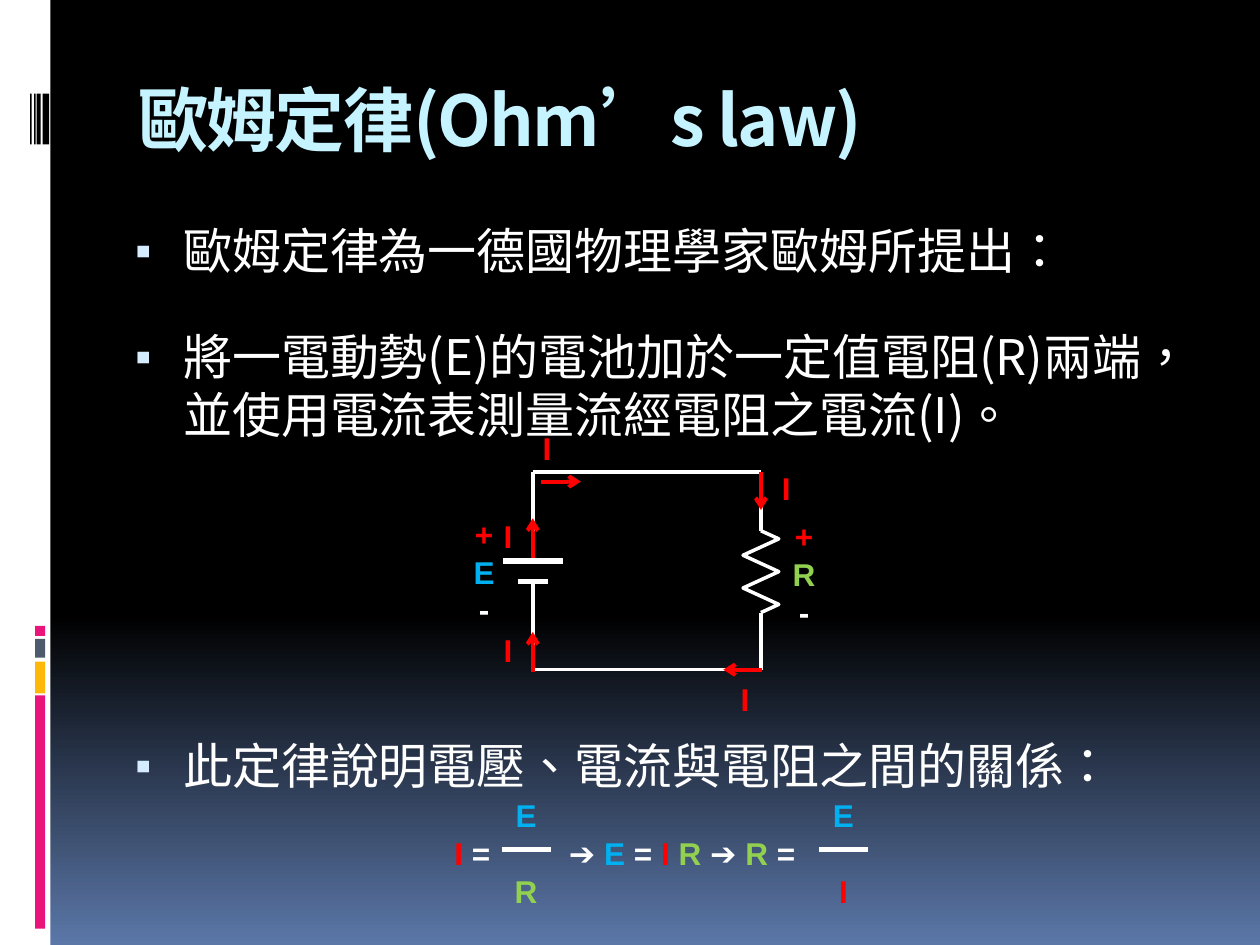
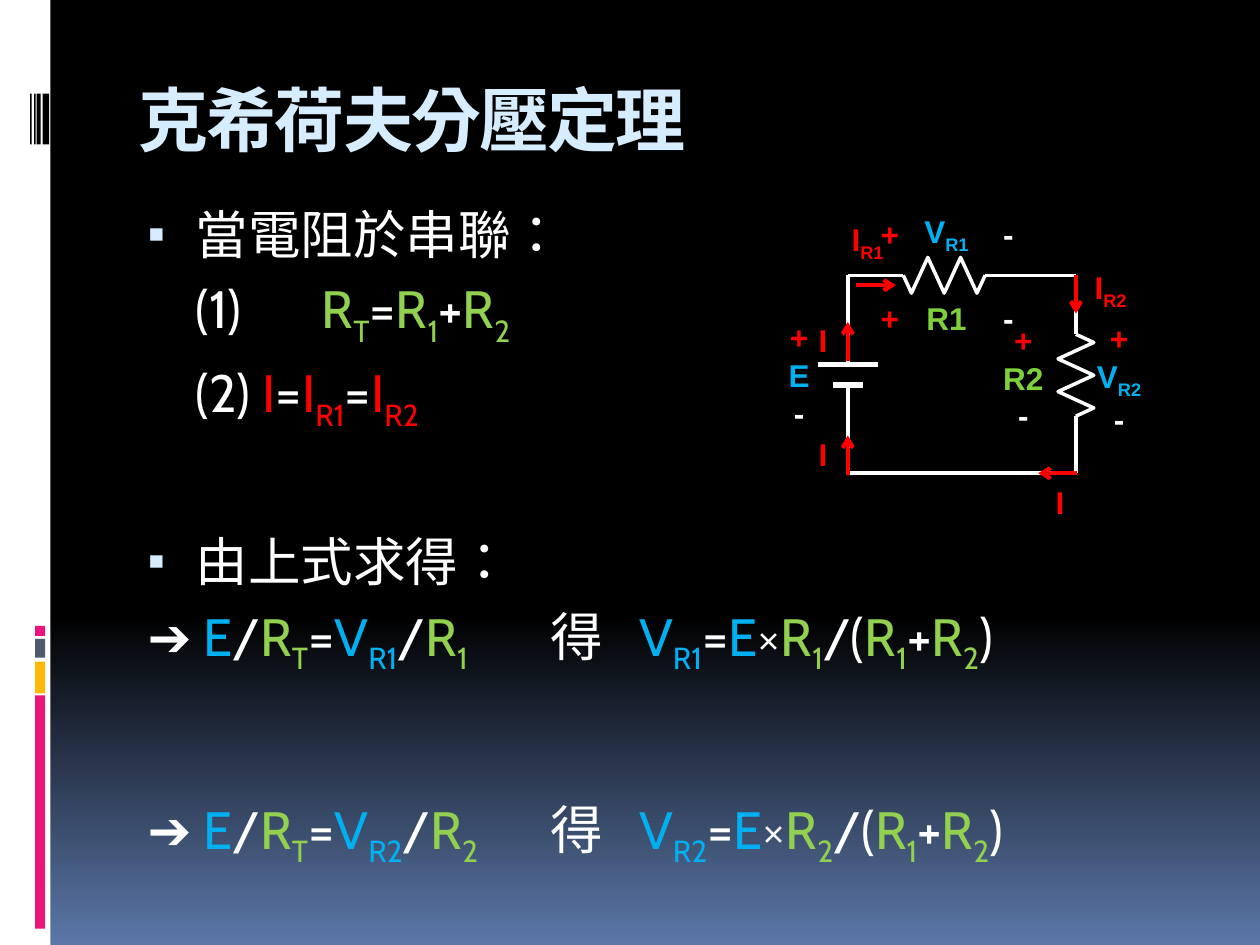
from typing import NamedTuple

from lxml import etree
from pptx import Presentation
from pptx.dml.color import RGBColor
from pptx.enum.shapes import MSO_CONNECTOR, MSO_SHAPE
from pptx.enum.text import MSO_ANCHOR, MSO_AUTO_SIZE, PP_ALIGN
from pptx.oxml.ns import qn
from pptx.util import Cm, Pt

RECTANGLE = MSO_SHAPE.RECTANGLE
STRAIGHT = MSO_CONNECTOR.STRAIGHT
TOP, MIDDLE = MSO_ANCHOR.TOP, MSO_ANCHOR.MIDDLE
LEFT, CENTER = PP_ALIGN.LEFT, PP_ALIGN.CENTER

BLACK = RGBColor(0x00, 0x00, 0x00)
WHITE = RGBColor(0xFF, 0xFF, 0xFF)
DUSK_BLUE = RGBColor(0x5B, 0x77, 0xA8)
PINK = RGBColor(0xEA, 0x15, 0x7A)
GOLD = RGBColor(0xFE, 0xB8, 0x0A)
SLATE = RGBColor(0x4E, 0x5B, 0x6F)
ICE = RGBColor(0xD6, 0xEC, 0xFF)
AQUA = RGBColor(0xC5, 0xF3, 0xFF)
RED = RGBColor(0xFF, 0x00, 0x00)
BLUE = RGBColor(0x00, 0xB0, 0xF0)
GREEN = RGBColor(0x92, 0xD0, 0x50)
LIME = RGBColor(0x7F, 0xD1, 0x3B)

CJK_FONT, BODY_FONT, LABEL_FONT = "Noto Sans CJK SC", "Cabin", "Arial"
QUANTITY_COLORS = {"E": BLUE, "V": BLUE, "R": GREEN, "I": RED}

CIRCUIT_WIDTH, CIRCUIT_HEIGHT = 4.6, 3.99
RESISTOR_LENGTH, RESISTOR_SWING = 1.65, 0.36


class Piece(NamedTuple):
    text: str
    color: RGBColor = WHITE
    subscript: bool = False


def quantity(symbol, subscript=""):
    """Pieces of a physical quantity, coloured by its symbol."""
    color = QUANTITY_COLORS[symbol]
    pieces = [Piece(symbol, color)]
    if subscript:
        pieces.append(Piece(subscript, color, True))
    return pieces


E, I, R = quantity("E"), quantity("I"), quantity("R")
R1, R2, RT = quantity("R", "1"), quantity("R", "2"), quantity("R", "T")
IR1, IR2 = quantity("I", "R1"), quantity("I", "R2")
VR1, VR2 = quantity("V", "R1"), quantity("V", "R2")
PLUS, MINUS = [Piece("+", RED)], [Piece("-")]


def add_pieces(paragraph, pieces, size, font_name, bold=False):
    for piece in pieces:
        run = paragraph.add_run()
        run.text = piece.text
        font = run.font
        font.name, font.size, font.bold = font_name, Pt(size), bold
        font.color.rgb = piece.color
        properties = run._r.get_or_add_rPr()
        properties.set("lang", "zh-TW")
        if piece.subscript:
            properties.set("baseline", "-25000")
        east_asian = etree.Element(qn("a:ea"), typeface=CJK_FONT)
        properties.find(qn("a:latin")).addnext(east_asian)


def add_label(slide, center_x, center_y, *lines, width=1.5):
    """Bold text, one list of pieces a line, centred on a point."""
    height = 0.76 * len(lines) + 0.25
    box = slide.shapes.add_textbox(Cm(center_x - width / 2), Cm(center_y - height / 2 - 0.02),
                                   Cm(width), Cm(height))
    frame = box.text_frame
    frame.word_wrap = False
    frame.vertical_anchor = MIDDLE
    for index, pieces in enumerate(lines):
        paragraph = frame.paragraphs[0] if index == 0 else frame.add_paragraph()
        paragraph.alignment = CENTER
        add_pieces(paragraph, pieces, 18, LABEL_FONT, bold=True)


def add_line(slide, start, end, color=WHITE, width=2, arrow=False):
    connector = slide.shapes.add_connector(STRAIGHT, *map(Cm, (*start, *end)))
    connector.line.color.rgb = color
    connector.line.width = Pt(width)
    if arrow:
        etree.SubElement(connector.line._get_or_add_ln(), qn("a:tailEnd"), type="arrow")
    etree.SubElement(connector._element.spPr, qn("a:effectLst"))


def add_resistor(slide, left, top, vertical):
    """Zigzag that starts at the given point and runs down or to the right."""
    step = RESISTOR_LENGTH / 5
    peaks = [((k + 0.5) * step, RESISTOR_SWING * (-1) ** k) for k in range(5)]
    points = [(0, 0), *peaks, (RESISTOR_LENGTH, 0)]
    if vertical:
        points = [(across, along) for along, across in points]
    corners = [(Cm(left + x), Cm(top + y)) for x, y in points]
    builder = slide.shapes.build_freeform(*corners[0])
    builder.add_line_segments(corners[1:], close=False)
    zigzag = builder.convert_to_shape()
    zigzag.shadow.inherit = False
    zigzag.fill.background()
    zigzag.line.color.rgb = WHITE
    zigzag.line.width = Pt(2)


def add_circuit(slide, left, top, labels, top_resistor=False):
    """Battery loop with a resistor on the right and, if wanted, one on top."""
    right, bottom = CIRCUIT_WIDTH, CIRCUIT_HEIGHT
    plate_long, plate_short, right_start, top_start = 1.8, 2.21, 1.19, 1.12

    def place(x, y):
        return left + x, top + y

    wires = [((0, plate_long), (0, 0)), ((0, bottom), (0, plate_short)),
             ((0, bottom), (right, bottom)), ((right, 0), (right, right_start)),
             ((right, right_start + RESISTOR_LENGTH), (right, bottom))]
    if top_resistor:
        wires += [((0, 0), (top_start, 0)), ((top_start + RESISTOR_LENGTH, 0), (right, 0))]
        add_resistor(slide, *place(top_start, 0), vertical=False)
    else:
        wires.append(((0, 0), (right, 0)))
    for start, end in wires:
        add_line(slide, place(*start), place(*end))
    add_resistor(slide, *place(right, right_start), vertical=True)

    for y, reach in ((plate_long, 0.6), (plate_short, 0.3)):
        add_line(slide, place(-reach, y), place(reach, y), width=3)

    currents = [((0, 1.73), (0, 0.94)), ((0, 4.03), (0, 3.23)), ((0.17, 0.2), (0.97, 0.2)),
                ((right, 0), (right, 0.77)), ((right + 0.03, bottom), (right - 0.76, bottom))]
    for start, end in currents:
        add_line(slide, place(*start), place(*end), RED, 2.25, arrow=True)

    shared_labels = [(-0.98, 2.03, PLUS, E, MINUS), (-0.5, 1.32, I), (-0.5, 3.62, I),
                     (4.28, 4.59, I)]
    for x, y, *lines in shared_labels + labels:
        add_label(slide, *place(x, y), *lines)


def add_fraction(slide, left, top, numerator, denominator):
    width = 0.99
    add_label(slide, left + width / 2, top - 0.67, numerator)
    add_line(slide, (left, top), (left + width, top), width=2.75)
    add_label(slide, left + width / 2, top + 0.86, denominator)


def add_ohm_formulas(slide, left, top):
    """I = E/R, then E = IR, then R = E/I, with fraction bars at the given top."""
    text_center = top + 0.09
    add_label(slide, left + 0.4, text_center, [*I, Piece(" =")])
    add_fraction(slide, left + 0.99, top, E, R)
    chain = [Piece("➔ "), *E, Piece(" = "), *I, Piece(" "), *R, Piece(" ➔ "), *R, Piece(" =")]
    add_label(slide, left + 4.63, text_center, chain, width=6)
    add_fraction(slide, left + 7.39, top, E, I)


def place_shape(shape, left, top, width, height):
    shape.left, shape.top, shape.width, shape.height = map(Cm, (left, top, width, height))


def set_title(slide, text, color):
    title = slide.shapes.title
    place_shape(title, 2.54, 1.42, 21.59, 2.54)
    frame = title.text_frame
    frame.auto_size = MSO_AUTO_SIZE.NONE
    frame.vertical_anchor = TOP
    frame.margin_top = Cm(0.32)
    paragraph = frame.paragraphs[0]
    paragraph.alignment = LEFT
    paragraph.line_spacing = 0.9
    add_pieces(paragraph, [Piece(text, color)], 40, CJK_FONT, bold=True)
    paragraph.runs[0].font._element.set("spc", "-100")


class Row(NamedTuple):
    space_before: float
    pieces: list
    bullet: bool = False
    margin: float = 1.15
    indent: float = 0
    tab_size: float = 2.54


def bullet_row(space_before, text):
    return Row(space_before, [Piece(text)], bullet=True, indent=-0.97)


def format_row(paragraph, row):
    properties = paragraph._p.get_or_add_pPr()
    properties.set("marL", str(Cm(row.margin)))
    properties.set("indent", str(Cm(row.indent)))
    properties.set("defTabSz", str(Cm(row.tab_size)))
    if row.bullet:
        color = etree.SubElement(properties, qn("a:buClr"))
        etree.SubElement(color, qn("a:srgbClr"), val=str(ICE))
        etree.SubElement(properties, qn("a:buSzPct"), val="95000")
        etree.SubElement(properties, qn("a:buChar"), char="▪")
    else:
        etree.SubElement(properties, qn("a:buNone"))


def set_body(slide, box, rows, size, line_height, font_name):
    body = slide.placeholders[1]
    place_shape(body, *box)
    frame = body.text_frame
    frame.auto_size = MSO_AUTO_SIZE.NONE
    frame.vertical_anchor = TOP
    frame.margin_top = Cm(0.13)
    for index, row in enumerate(rows):
        paragraph = frame.paragraphs[0] if index == 0 else frame.add_paragraph()
        paragraph.line_spacing = Pt(line_height)
        paragraph.space_before = Pt(row.space_before)
        paragraph.space_after = Pt(0)
        format_row(paragraph, row)
        add_pieces(paragraph, row.pieces, size, font_name)


def decorate_master(master, slide):
    """Give the master its gradient and side band, drawn by way of a slide."""
    fill = master.background.fill
    fill.gradient()
    fill.gradient_angle = 270
    for stop, position, color in zip(fill.gradient_stops, (0.65, 1), (BLACK, DUSK_BLUE)):
        stop.position = position
        stop.color.rgb = color

    bands = [(0, 0, 1.02, 19.05, WHITE)]
    bands += [(0.71, top, 0.2, height, color) for top, height, color in (
        (14.02, 4.7, PINK), (13.34, 0.64, GOLD), (12.88, 0.38, SLATE), (12.62, 0.2, PINK))]
    bands += [(left, 1.89, width, 1.02, BLACK) for left, width in (
        (0.86, 0.13), (0.74, 0.08), (0.69, 0.03), (0.61, 0.03))]
    for number, (*box, color) in enumerate(bands, start=101):
        band = slide.shapes.add_shape(RECTANGLE, *map(Cm, box))
        band.shadow.inherit = False
        band.fill.solid()
        band.fill.fore_color.rgb = color
        band.line.fill.background()
        band.element.nvSpPr.cNvPr.set("id", str(number))
        master.shapes.element.append(band.element)


def build_ohm_slide(slide):
    set_title(slide, "歐姆定律(Ohm’s law)", AQUA)
    rows = [bullet_row(0, "歐姆定律為一德國物理學家歐姆所提出："),
            bullet_row(27.6, "將一電動勢(E)的電池加於一定值電阻(R)兩端，並使用電流表測量流經電阻之電流(I)。"),
            bullet_row(167.6, "此定律說明電壓、電流與電阻之間的關係：")]
    set_body(slide, (2.29, 4.34, 21.59, 12.7), rows, 28, 33, CJK_FONT)
    add_circuit(slide, 10.74, 9.51, [(5.47, 2.08, PLUS, R, MINUS), (0.29, -0.45, I),
                                     (5.11, 0.35, I)])
    add_ohm_formulas(slide, 9.12, 17.12)


def divider_row(space_before, voltage, resistance):
    equals, slash = Piece("="), Piece("/")
    pieces = [Piece("➔ "), *E, slash, *RT, equals, *voltage, slash, *resistance,
              Piece("\t得\t"), *voltage, equals, *E, Piece("×"), *resistance,
              Piece("/("), *R1, Piece("+"), *R2, Piece(")")]
    return Row(space_before, pieces, margin=8.31, indent=-8.13, tab_size=1.78)


def build_divider_slide(slide):
    set_title(slide, "克希荷夫分壓定理", ICE)
    rows = [bullet_row(0, "當電阻於串聯："),
            Row(11.5, [Piece("(1)\t"), *RT, Piece("="), *R1, Piece("+"), *R2]),
            Row(12, [Piece("(2) "), *I, Piece("="), *IR1, Piece("="), *IR2]),
            bullet_row(55.5, "由上式求得："),
            divider_row(11.5, VR1, R1),
            divider_row(74.5, VR2, R2)]
    set_body(slide, (2.54, 3.94, 20.75, 12.7), rows, 30, 36, BODY_FONT)
    labels = [(0.4, -0.66, IR1), (5.3, 0.3, IR2),
              (5.47, 2.1, PLUS, VR2, MINUS), (3.54, 2.08, PLUS, [Piece("R2", LIME)], MINUS)]
    for y, name in ((-0.82, VR1), (0.88, [Piece("R1", LIME)])):
        labels += [(0.85, y, PLUS), (1.99, y, name), (3.24, y, MINUS)]
    add_circuit(slide, 17.09, 5.55, labels, top_resistor=True)


def main():
    presentation = Presentation()
    presentation.slide_width, presentation.slide_height = Cm(25.4), Cm(19.05)
    layout = presentation.slide_layouts[1]
    ohm_slide, divider_slide = (presentation.slides.add_slide(layout) for _ in range(2))
    decorate_master(presentation.slide_master, ohm_slide)
    build_ohm_slide(ohm_slide)
    build_divider_slide(divider_slide)
    presentation.save("out.pptx")


if __name__ == "__main__":
    main()
